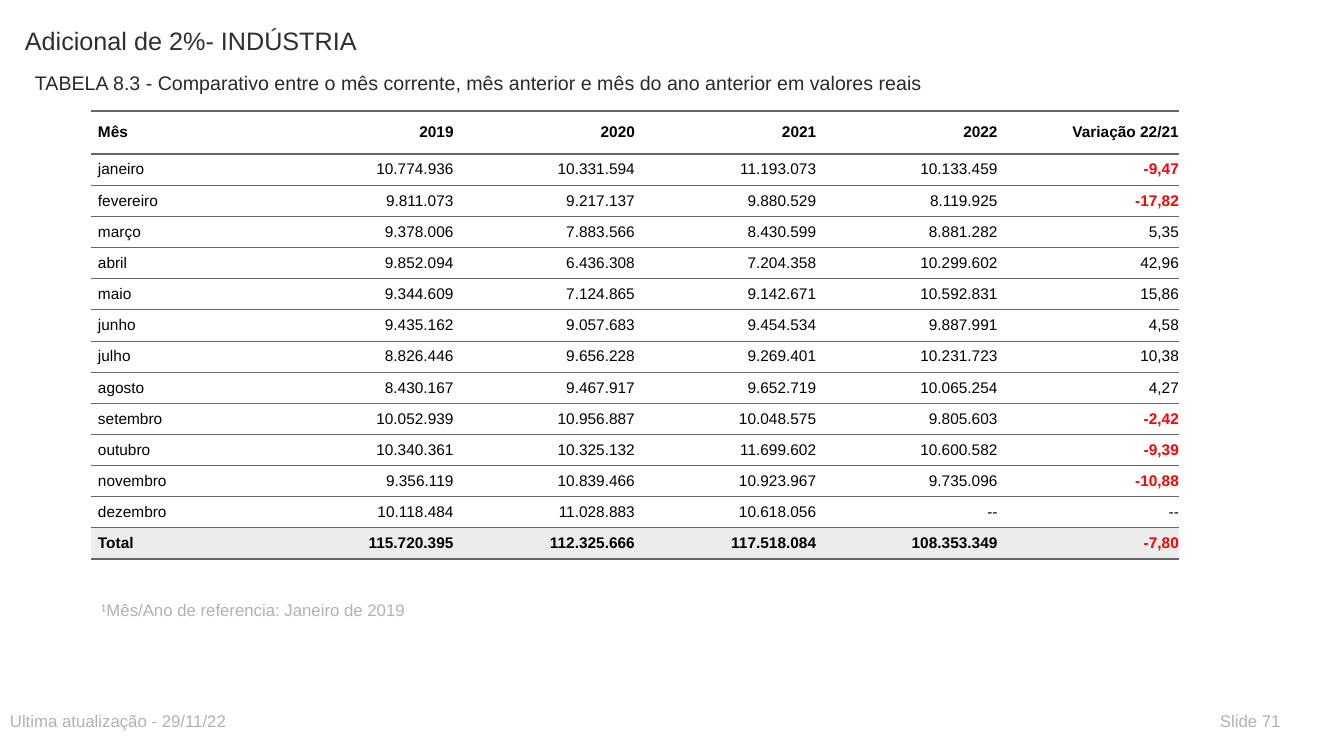
"""Build the slide comparing monthly values of the 2% surcharge for industry."""
from dataclasses import dataclass

from lxml.etree import SubElement
from pptx import Presentation
from pptx.dml.color import RGBColor as RGB
from pptx.enum.text import MSO_ANCHOR as ANCHOR, PP_ALIGN as ALIGN
from pptx.oxml.ns import qn
from pptx.util import Pt


@dataclass(frozen=True)
class Theme:
    font: str = "Arial"
    title: str = "2D2E2D"
    subtitle: str = "292929"
    muted: str = "B2B2B2"
    ink: str = "000000"
    negative: str = "FF0000"
    rule: str = "666666"
    paper: str = "FFFFFF"
    total: str = "ECECEC"
    title_pt: int = 18
    subtitle_pt: int = 14
    note_pt: int = 12
    cell_pt: int = 11
    thick_pt: float = 2
    thin_pt: float = 0.5


T = Theme()
SLIDE = (1344, 756)
TEXTS = [
    ("Adicional de 2%- INDÚSTRIA", (15, 20, 806, 59), T.title_pt, T.title),
    ("TABELA 8.3 - Comparativo entre o mês corrente, mês anterior e mês do ano anterior em valores reais",
     (25, 66, 1008, 30), T.subtitle_pt, T.subtitle),
    ("¹Mês/Ano de referencia: Janeiro de 2019", (91, 595, 655, 30), T.note_pt, T.muted),
    ("Ultima atualização - 29/11/22", (0, 706, 655, 30), T.note_pt, T.muted),
    ("Slide 71", (1210, 706, 91, 30), T.note_pt, T.muted),
]
ROWS = [
    ("Mês", "2019", "2020", "2021", "2022", "Variação 22/21"),
    ("janeiro", "10.774.936", "10.331.594", "11.193.073", "10.133.459", "-9,47"),
    ("fevereiro", "9.811.073", "9.217.137", "9.880.529", "8.119.925", "-17,82"),
    ("março", "9.378.006", "7.883.566", "8.430.599", "8.881.282", "5,35"),
    ("abril", "9.852.094", "6.436.308", "7.204.358", "10.299.602", "42,96"),
    ("maio", "9.344.609", "7.124.865", "9.142.671", "10.592.831", "15,86"),
    ("junho", "9.435.162", "9.057.683", "9.454.534", "9.887.991", "4,58"),
    ("julho", "8.826.446", "9.656.228", "9.269.401", "10.231.723", "10,38"),
    ("agosto", "8.430.167", "9.467.917", "9.652.719", "10.065.254", "4,27"),
    ("setembro", "10.052.939", "10.956.887", "10.048.575", "9.805.603", "-2,42"),
    ("outubro", "10.340.361", "10.325.132", "11.699.602", "10.600.582", "-9,39"),
    ("novembro", "9.356.119", "10.839.466", "10.923.967", "9.735.096", "-10,88"),
    ("dezembro", "10.118.484", "11.028.883", "10.618.056", "--", "--"),
    ("Total", "115.720.395", "112.325.666", "117.518.084", "108.353.349", "-7,80"),
]
TABLE_X, TABLE_Y, TABLE_W = 91, 111, 1088
HEADER_H, BODY_H = 43, 405
CELL_INDENT, CELL_PAD = 7, 5


def px(n):
    return round(n * 914400 / 100.8)


def style(p, size, color, bold=False):
    for r in p.runs:
        r.font.name, r.font.size, r.font.bold = T.font, Pt(size), bold
        r.font.color.rgb = RGB.from_string(color)


def add_text(s, text, box, size, color):
    tf = s.shapes.add_textbox(*map(px, box)).text_frame
    tf.word_wrap = True
    tf.text = text
    style(tf.paragraphs[0], size, color)


def set_borders(cell, top, bottom):
    tc_pr = cell._tc.get_or_add_tcPr()
    for side, weight in (("L", 0), ("R", 0), ("T", top), ("B", bottom)):
        ln = SubElement(tc_pr, qn(f"a:ln{side}"), w=str(Pt(weight)))
        if weight:
            fill = SubElement(ln, qn("a:solidFill"))
            SubElement(fill, qn("a:srgbClr"), val=T.rule)
        else:
            SubElement(ln, qn("a:noFill"))


def fill_cell(cell, text, first_col, bold, fill, top, bottom):
    set_borders(cell, top, bottom)
    cell.fill.solid()
    cell.fill.fore_color.rgb = RGB.from_string(fill)
    cell.vertical_anchor = ANCHOR.MIDDLE
    cell.margin_left = cell.margin_right = 0
    cell.margin_top = cell.margin_bottom = px(CELL_PAD)
    p = cell.text_frame.paragraphs[0]
    p.text = text
    p.alignment = ALIGN.LEFT if first_col else ALIGN.RIGHT
    p._p.get_or_add_pPr().set("marL", str(px(CELL_INDENT)))
    negative = text.startswith("-") and text != "--"
    style(p, T.cell_pt, T.negative if negative else T.ink, bold or negative)


def add_values(s):
    last = len(ROWS) - 1
    frame = s.shapes.add_table(len(ROWS), len(ROWS[0]), px(TABLE_X), px(TABLE_Y),
                               px(TABLE_W), px(HEADER_H + BODY_H))
    table = frame.table
    table.first_row = table.horz_banding = False
    for col in table.columns:
        col.width = px(TABLE_W / len(ROWS[0]))
    rules = [T.thick_pt if i in (0, 1, last + 1) else T.thin_pt for i in range(last + 2)]
    for i, values in enumerate(ROWS):
        table.rows[i].height = px(BODY_H / last if i else HEADER_H)
        fill = T.total if i == last else T.paper
        for j, value in enumerate(values):
            fill_cell(table.cell(i, j), value, j == 0, i in (0, last), fill, rules[i], rules[i + 1])


def main():
    prs = Presentation()
    prs.slide_width, prs.slide_height = map(px, SLIDE)
    s = prs.slides.add_slide(prs.slide_layouts[6])
    for item in TEXTS:
        add_text(s, *item)
    add_values(s)
    prs.save("out.pptx")


if __name__ == "__main__":
    main()
